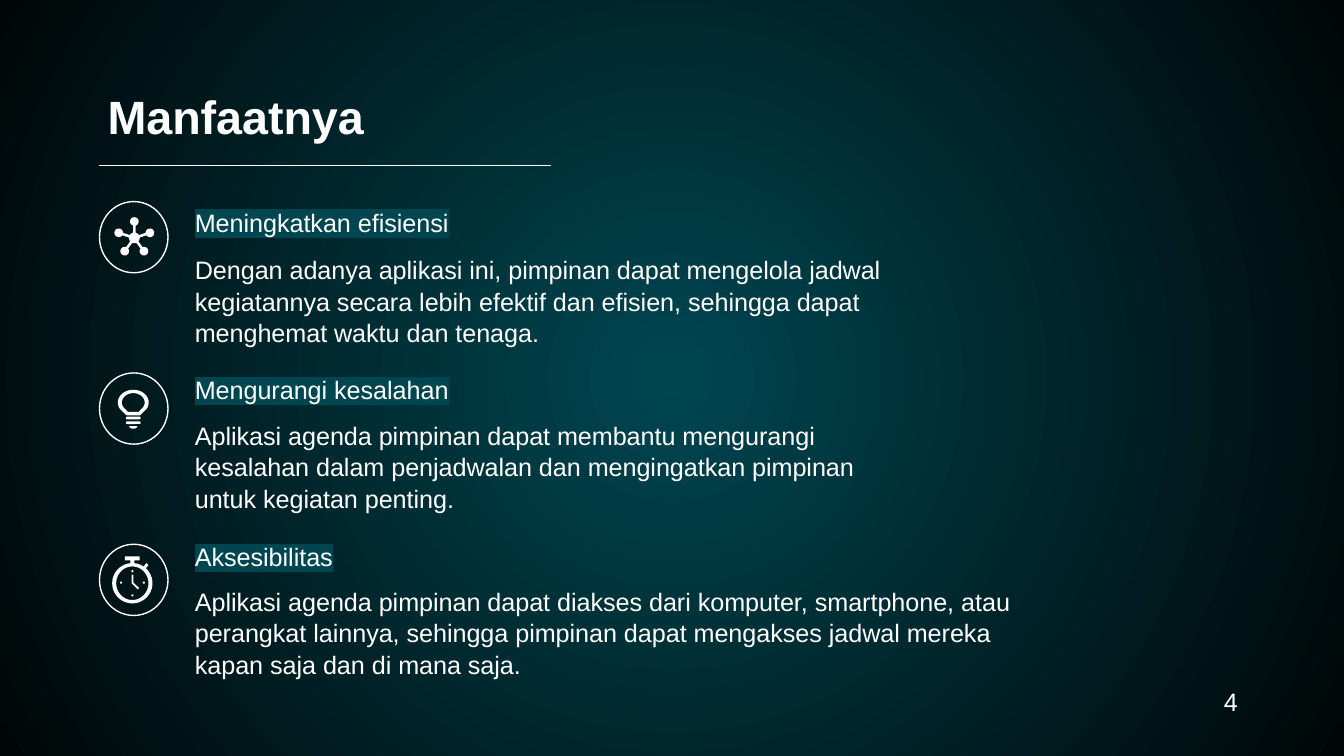
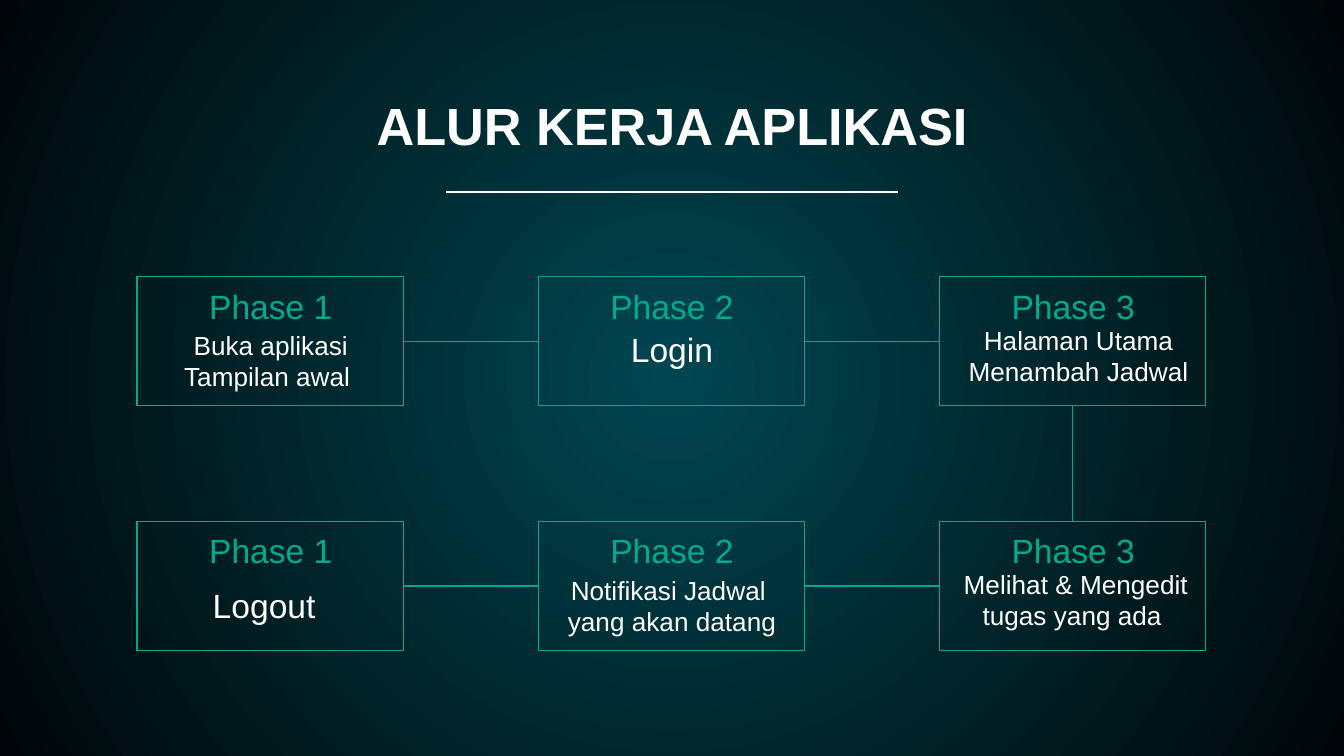
import math

import pptx
import pptx.dml.color
import pptx.enum.shapes
import pptx.enum.text
import pptx.oxml
import pptx.oxml.ns
import pptx.util

COLORS = {"white": "FFFFFF", "teal": "004651", "night": "000607", "green": "00AB8D"}
CELL = pptx.util.Inches(0.1)  # the grid has 100 columns and 56.25 rows
FONT = "Arial"
A_NS = 'xmlns:a="http://schemas.openxmlformats.org/drawingml/2006/main"'
SHAPES = pptx.enum.shapes.MSO_SHAPE
ALIGN = pptx.enum.text.PP_ALIGN
ANCHOR = pptx.enum.text.MSO_ANCHOR


def cells(*lengths):
    return [round(length * CELL) for length in lengths]


def rgb(name):
    return pptx.dml.color.RGBColor.from_string(COLORS[name])


def apply(target, values):
    for attribute, value in values.items():
        setattr(target, attribute, value)


def arc(x, y, rx, ry, start, end, steps=24):
    """Points on an ellipse, in degrees clockwise from the right."""
    angles = [math.radians(start + (end - start) * i / steps) for i in range(steps + 1)]
    return [(x + rx * math.cos(a), y + ry * math.sin(a)) for a in angles]


class Deck:
    def __init__(self):
        self.prs = pptx.Presentation()
        self.prs.slide_width, self.prs.slide_height = cells(100, 56.25)
        self.slide = None
        self.paint_background()

    def paint_background(self):
        master = self.prs.slide_master
        fill = master.background.fill
        fill.gradient()
        for stop, position, color in zip(fill.gradient_stops, (0, 1), ("teal", "night")):
            stop.position = position
            stop.color.rgb = rgb(color)
        gradient = master.element.find(".//" + pptx.oxml.ns.qn("a:gradFill"))
        gradient.remove(gradient.find(pptx.oxml.ns.qn("a:lin")))
        gradient.append(pptx.oxml.parse_xml(
            f'<a:path {A_NS} path="circle">'
            '<a:fillToRect l="50000" t="50000" r="50000" b="50000"/></a:path>'))

    def add_slide(self):
        self.slide = self.prs.slides.add_slide(self.prs.slide_layouts[5])

    def fill_text(self, frame, lines, size, color="white", bold=False, align=ALIGN.LEFT,
                  anchor=ANCHOR.TOP, inset=1.0, spacing=1.0):
        margin, = cells(inset)
        apply(frame, {"word_wrap": True, "vertical_anchor": anchor,
                      "auto_size": pptx.enum.text.MSO_AUTO_SIZE.NONE,
                      "margin_left": margin, "margin_top": margin,
                      "margin_right": margin, "margin_bottom": margin})
        for i, line in enumerate(lines):
            paragraph = frame.add_paragraph() if i else frame.paragraphs[0]
            apply(paragraph, {"alignment": align, "line_spacing": spacing})
            run = paragraph.add_run()
            run.text = line
            apply(run.font, {"size": pptx.util.Pt(size), "name": FONT, "bold": bold})
            run.font.color.rgb = rgb(color)

    def title(self, text, box, size, **style):
        holder = self.slide.shapes.title
        apply(holder, dict(zip(("left", "top", "width", "height"), cells(*box))))
        self.fill_text(holder.text_frame, [text], size, bold=True, **style)

    def text(self, lines, box, size, highlight=None, **style):
        label = self.slide.shapes.add_textbox(*cells(*box))
        self.fill_text(label.text_frame, lines, size, **style)
        if highlight:
            for solid in list(label.element.iter(pptx.oxml.ns.qn("a:solidFill"))):
                solid.addnext(pptx.oxml.parse_xml(
                    f'<a:highlight {A_NS}><a:srgbClr val="{COLORS[highlight]}"/></a:highlight>'))

    def finish(self, shape, fill=None, line=None):
        shape.shadow.inherit = False
        for part, color in ((shape.fill, fill), (shape.line.fill, line)):
            if color:
                part.solid()
                part.fore_color.rgb = rgb(color)
            else:
                part.background()
        if line:
            shape.line.width = pptx.util.Pt(0.75)
        return shape

    def shape(self, preset, box, **paint):
        return self.finish(self.slide.shapes.add_shape(preset, *cells(*box)), **paint)

    def outline(self, *contours):
        """One white shape; a second contour inside the first is a hole."""
        builder = None
        for contour in contours:
            first, *rest = [cells(*point) for point in contour]
            if builder is None:
                builder = self.slide.shapes.build_freeform(*first, scale=1.0)
            else:
                builder.move_to(*first)
            builder.add_line_segments(rest, close=True)
        return self.finish(builder.convert_to_shape(), fill="white")

    def line(self, start=(0, 0), end=(0, 0), color="white"):
        connector = self.slide.shapes.add_connector(
            pptx.enum.shapes.MSO_CONNECTOR.STRAIGHT, *cells(*start, *end))
        connector.line.color.rgb = rgb(color)
        connector.line.width = pptx.util.Pt(0.75)
        connector.element.spPr.append(pptx.oxml.parse_xml(f"<a:effectLst {A_NS}/>"))
        return connector

    def link(self, source, target, sites):
        connector = self.line(color="green")
        connector.begin_connect(source, sites[0])
        connector.end_connect(target, sites[1])


# Icons

def network_icon(deck, x, y):
    points = []
    for spoke in range(-90, 270, 72):
        node = [x + 1.22 * math.cos(math.radians(spoke)),
                y + 1.22 * math.sin(math.radians(spoke))]
        points += arc(x, y, 0.4, 0.4, spoke - 26, spoke - 14, 2)
        points += arc(*node, 0.32, 0.32, spoke - 163, spoke + 163)
        points += arc(x, y, 0.4, 0.4, spoke + 14, spoke + 26, 2)
    deck.outline(points)


def lamp_icon(deck, x, y):
    bulb = [arc(x, y - 0.45, rx, ry, 150, 390) + [(x + foot, base), (x - foot, base)]
            for rx, ry, foot, base in ((1.15, 0.95, 0.5, y + 0.5),
                                       (0.85, 0.7, 0.4, y + 0.25))]
    deck.outline(*bulb)
    for bar in (0.6, 0.95):
        deck.shape(SHAPES.ROUNDED_RECTANGLE, (x - 0.55, y + bar, 1.1, 0.2),
                   fill="white").adjustments[0] = 0.5
    deck.outline(arc(x, y + 1.3, 0.3, 0.2, 0, 180))


def stopwatch_icon(deck, x, y):
    deck.outline(arc(x, y, 1.5, 1.5, 0, 360, 48), arc(x, y, 1.2, 1.25, 0, 360, 48))
    deck.outline([(x - 0.55, y - 2), (x + 0.55, y - 2), (x + 0.55, y - 1.7),
                  (x + 0.15, y - 1.7), (x + 0.15, y - 1.4), (x - 0.15, y - 1.4),
                  (x - 0.15, y - 1.7), (x - 0.55, y - 1.7)])
    deck.outline([(x + 0.8, y - 1.2), (x + 1.05, y - 1.5), (x + 1.2, y - 1.35),
                  (x + 0.95, y - 1.05)])
    for dx, dy in ((0, -0.9), (0, 0.9), (0.85, -0.05), (-0.85, -0.05)):
        deck.shape(SHAPES.OVAL, (x + dx - 0.08, y + dy - 0.08, 0.16, 0.16), fill="white")
    deck.outline([(x - 0.05, y - 0.65), (x + 0.08, y - 0.65), (x + 0.08, y - 0.05),
                  (x + 0.5, y + 0.35), (x + 0.4, y + 0.45), (x - 0.05, y)])


# Slide contents: heading, explanation, width, icon, icon centre

BENEFITS = [
    ("Meningkatkan efisiensi",
     "Dengan adanya aplikasi ini, pimpinan dapat mengelola jadwal kegiatannya secara "
     "lebih efektif dan efisien, sehingga dapat menghemat waktu dan tenaga.",
     56.1, network_icon, (10, 17.7)),
    ("Mengurangi kesalahan",
     "Aplikasi agenda pimpinan dapat membantu mengurangi kesalahan dalam penjadwalan "
     "dan mengingatkan pimpinan untuk kegiatan penting.",
     56.1, lamp_icon, (9.92, 30.4)),
    ("Aksesibilitas",
     "Aplikasi agenda pimpinan dapat diakses dari komputer, smartphone, atau perangkat "
     "lainnya, sehingga pimpinan dapat mengakses jadwal mereka kapan saja dan di mana saja.",
     64.9, stopwatch_icon, (9.85, 43.4)),
]

# Grid column, grid row, caption lines, caption size, caption shift inside the box
PHASES = [
    (0, 0, ["Buka aplikasi", "Tampilan awal "], 14, (0.4, 2.9)),
    (1, 0, ["Login"], 18, (0.4, 2.9)),
    (2, 0, ["Halaman Utama", "Menambah Jadwal"], 14, (0.8, 2.5)),
    (2, 1, ["Melihat & Mengedit tugas yang ada "], 14, (0.6, 2.5)),
    (1, 1, ["Notifikasi Jadwal ", "yang akan datang"], 14, (0.4, 2.9)),
    (0, 1, ["Logout"], 18, (-0.1, 3.7)),
]
# Connection sites by direction of travel: right, down, left
LINK_SITES = {1: (3, 1), 0: (2, 0), -1: (1, 3)}


def build_benefits(deck):
    deck.add_slide()
    deck.title("Manfaatnya", (6.7, 5.2, 62.7, 5.9), 25, inset=1.3)
    deck.line((7.4, 12.3), (41, 12.3))
    for i, (heading, explanation, width, icon, centre) in enumerate(BENEFITS):
        deck.text([heading], (13.2, 14.1 + 12.45 * i, 56.1, 4.7), 13.5,
                  inset=1.3, highlight="teal")
        deck.text([explanation], (13.2, 17.5 + 12.35 * i, width, 7.2), 13.5,
                  inset=1.3, spacing=1.05)
        deck.shape(SHAPES.OVAL, (7.4, 15 + 12.75 * i, 5.1, 5.3), line="white")
        icon(deck, *centre)
    deck.text(["4"], (87.9, 49.8, 5.5, 4.1), 13.5, inset=1.3, align=ALIGN.RIGHT)


def build_workflow(deck):
    deck.add_slide()
    deck.title("ALUR KERJA APLIKASI", (7.8, 5.9, 84.4, 6.2), 28, align=ALIGN.CENTER)
    deck.line((33.2, 14.3), (66.8, 14.3))
    previous = None
    for column, row, caption, size, (dx, dy) in PHASES:
        x, y = 10.2 + 29.85 * column, 20.6 + 18.2 * row
        box = deck.shape(SHAPES.ROUNDED_RECTANGLE, (x, y, 19.8, 9.6), line="green")
        box.adjustments[0] = 0
        deck.text([f"Phase {column + 1}"], (x + 0.4, y + 1.15, 19.1, 3.5), 18,
                  color="green", align=ALIGN.CENTER, anchor=ANCHOR.BOTTOM)
        deck.text(caption, (x + dx, y + dy, 19.1, 6.2), size, align=ALIGN.CENTER)
        if previous:
            deck.link(previous[0], box, LINK_SITES[column - previous[1]])
        previous = box, column


def main():
    deck = Deck()
    build_benefits(deck)
    build_workflow(deck)
    deck.prs.save("out.pptx")


if __name__ == "__main__":
    main()
